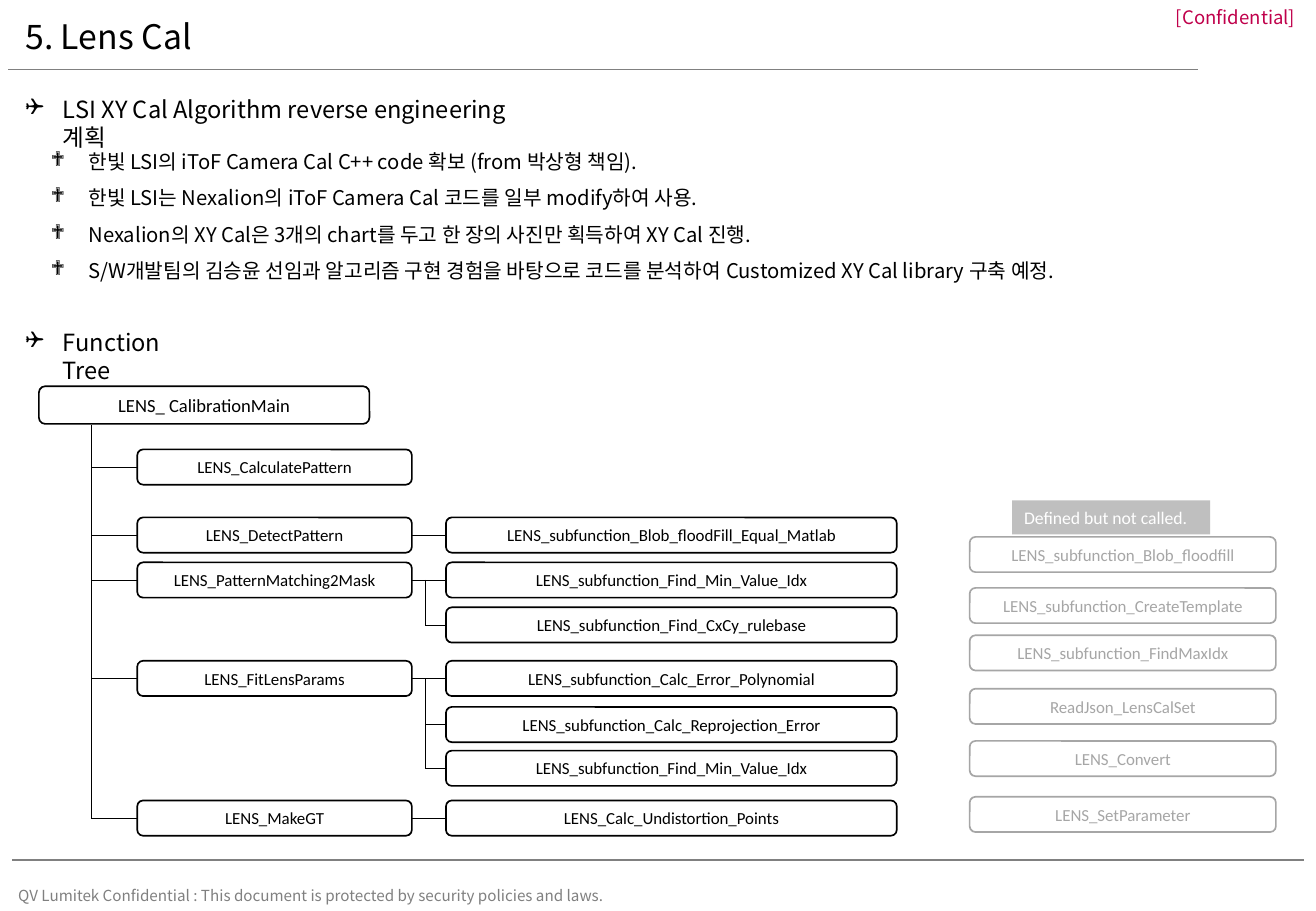
"""Build the lens calibration slide with its plan and function tree."""
from dataclasses import dataclass

import pptx
import pptx.dml.color
import pptx.enum.shapes
import pptx.enum.text
import pptx.oxml.ns
import pptx.util
from lxml import etree
from pptx.util import Inches

RGBColor = pptx.dml.color.RGBColor
ANCHOR = pptx.enum.text.MSO_ANCHOR
ALIGN = pptx.enum.text.PP_ALIGN
SHAPE = pptx.enum.shapes.MSO_SHAPE
qn = pptx.oxml.ns.qn

BLACK = RGBColor(0x00, 0x00, 0x00)
WHITE = RGBColor(0xFF, 0xFF, 0xFF)
GRAY = RGBColor(0x80, 0x80, 0x80)
LIGHT_GRAY = RGBColor(0xA6, 0xA6, 0xA6)
LABEL_GRAY = RGBColor(0xBF, 0xBF, 0xBF)
CRIMSON = RGBColor(0xC0, 0x00, 0x4B)

BODY_FONT = "Noto Sans CJK KR"
TREE_FONT = "Calibri"
BULLET_INDENT = 0.31
NODE_HEIGHT = 0.29
TRUNK_X, TRUNK_TOP = 0.75, 3.5
STEM_X = 3.5


@dataclass(frozen=True)
class TextBlock:
    left: float
    top: float
    width: float
    height: float
    lines: tuple[str, ...]
    size: float
    color: RGBColor = BLACK
    bullet: str = ""
    spacing: float = 1.0
    align: ALIGN = ALIGN.LEFT
    anchor: ANCHOR = ANCHOR.TOP
    inset: bool = True


@dataclass(frozen=True)
class Column:
    left: float
    width: float
    color: RGBColor = BLACK
    size: float = 10
    height: float = NODE_HEIGHT


@dataclass(frozen=True)
class Node:
    top: float
    name: str
    children: tuple["Node", ...] = ()


ROOT_COLUMN = Column(0.32, 2.72, size=11, height=0.31)
FUNCTION_COLUMN = Column(1.13, 2.26)
SUBFUNCTION_COLUMN = Column(3.67, 3.71)
UNUSED_COLUMN = Column(7.98, 2.52, LIGHT_GRAY)

TEXT_BLOCKS = (
    TextBlock(0, 7.25, 5.07, 0.25,
              ("QV Lumitek Confidential : This document is protected by security policies and laws.",),
              9, GRAY, anchor=ANCHOR.MIDDLE, inset=False),
    TextBlock(9.52, 0, 1.32, 0.28, ("[Confidential]",), 11, CRIMSON,
              align=ALIGN.RIGHT, anchor=ANCHOR.MIDDLE, inset=False),
    TextBlock(0.11, 0.09, 6.14, 0.46, ("5. Lens Cal",), 20, spacing=0.9, anchor=ANCHOR.MIDDLE),
    TextBlock(0.11, 0.73, 4.51, 0.34, ("LSI XY Cal Algorithm reverse engineering 계획",), 14, bullet="❑"),
    TextBlock(0.32, 1.08, 8.8, 1.28, (
        "한빛 LSI의 iToF Camera Cal C++ code 확보 (from 박상형 책임).",
        "한빛 LSI는 Nexalion의 iToF Camera Cal 코드를 일부 modify하여 사용.",
        "Nexalion의 XY Cal은 3개의 chart를 두고 한 장의 사진만 획득하여 XY Cal 진행.",
        "S/W개발팀의 김승윤 선임과 알고리즘 구현 경험을 바탕으로 코드를 분석하여 Customized XY Cal library 구축 예정.",
    ), 12, bullet="❖", spacing=1.5),
    TextBlock(0.11, 2.65, 1.71, 0.34, ("Function Tree",), 14, bullet="❑"),
)

ROOT = Node(3.18, "LENS_ CalibrationMain", (
    Node(3.7, "LENS_CalculatePattern"),
    Node(4.26, "LENS_DetectPattern", (
        Node(4.26, "LENS_subfunction_Blob_floodFill_Equal_Matlab"),)),
    Node(4.63, "LENS_PatternMatching2Mask", (
        Node(4.63, "LENS_subfunction_Find_Min_Value_Idx"),
        Node(5.0, "LENS_subfunction_Find_CxCy_rulebase"))),
    Node(5.44, "LENS_FitLensParams", (
        Node(5.44, "LENS_subfunction_Calc_Error_Polynomial"),
        Node(5.82, "LENS_subfunction_Calc_Reprojection_Error"),
        Node(6.18, "LENS_subfunction_Find_Min_Value_Idx"))),
    Node(6.59, "LENS_MakeGT", (Node(6.59, "LENS_Calc_Undistortion_Points"),)),
))

UNUSED_NODES = (
    Node(4.42, "LENS_subfunction_Blob_floodfill"),
    Node(4.84, "LENS_subfunction_CreateTemplate"),
    Node(5.23, "LENS_subfunction_FindMaxIdx"),
    Node(5.67, "ReadJson_LensCalSet"),
    Node(6.1, "LENS_Convert"),
    Node(6.56, "LENS_SetParameter"),
)


def add_run(paragraph, text: str, font: str, size: float, color: RGBColor) -> None:
    """Append one formatted run to a paragraph."""
    run = paragraph.add_run()
    run.text = text
    run.font.name = font
    run.font.size = pptx.util.Pt(size)
    run.font.color.rgb = color
    etree.SubElement(run.font._element, qn("a:ea")).set("typeface", font)


def add_bullet(paragraph, character: str) -> None:
    """Give a paragraph a hanging bullet."""
    properties = paragraph._p.get_or_add_pPr()
    properties.set("marL", str(Inches(BULLET_INDENT)))
    properties.set("indent", str(-Inches(BULLET_INDENT)))
    etree.SubElement(properties, qn("a:buFont")).set("typeface", "Wingdings")
    etree.SubElement(properties, qn("a:buChar")).set("char", character)


def add_text(slide, block: TextBlock) -> None:
    """Draw a text block."""
    box = slide.shapes.add_textbox(
        Inches(block.left), Inches(block.top), Inches(block.width), Inches(block.height))
    frame = box.text_frame
    frame.word_wrap = True
    frame.vertical_anchor = block.anchor
    if not block.inset:
        frame.margin_left = frame.margin_right = frame.margin_top = frame.margin_bottom = 0
    if block.left == 0:
        frame.margin_left = Inches(0.15)
    if block.align == ALIGN.RIGHT:
        frame.margin_right = Inches(0.18)
    for index, line in enumerate(block.lines):
        paragraph = frame.add_paragraph() if index else frame.paragraphs[0]
        if block.bullet:
            add_bullet(paragraph, block.bullet)
        paragraph.alignment = block.align
        paragraph.line_spacing = block.spacing
        add_run(paragraph, line, BODY_FONT, block.size, block.color)


def add_line(slide, x1: float, y1: float, x2: float, y2: float,
             color: RGBColor = BLACK, width: float = 0.5):
    """Draw a straight line without a shadow."""
    line = slide.shapes.add_connector(
        pptx.enum.shapes.MSO_CONNECTOR.STRAIGHT, Inches(x1), Inches(y1), Inches(x2), Inches(y2))
    line.line.color.rgb = color
    line.line.width = pptx.util.Pt(width)
    etree.SubElement(line._element.spPr, qn("a:effectLst"))
    return line


def add_node(slide, node: Node, column: Column):
    """Draw a function box in its column."""
    shape = slide.shapes.add_shape(
        SHAPE.ROUNDED_RECTANGLE, Inches(column.left), Inches(node.top),
        Inches(column.width), Inches(column.height))
    shape.shadow.inherit = False
    shape.fill.background()
    shape.line.color.rgb = column.color
    shape.line.width = pptx.util.Pt(1)
    shape.text_frame.vertical_anchor = ANCHOR.MIDDLE
    paragraph = shape.text_frame.paragraphs[0]
    paragraph.alignment = ALIGN.CENTER
    add_run(paragraph, node.name, TREE_FONT, column.size, column.color)
    return shape


def middle(node: Node) -> float:
    """Return the height at which a node is joined."""
    return node.top + NODE_HEIGHT / 2


def add_tree(slide) -> None:
    """Draw the function tree and its connectors."""
    add_node(slide, ROOT, ROOT_COLUMN)
    add_line(slide, TRUNK_X, TRUNK_TOP, TRUNK_X, middle(ROOT.children[-1]))
    for function in ROOT.children:
        y = middle(function)
        function_shape = add_node(slide, function, FUNCTION_COLUMN)
        branch = add_line(slide, TRUNK_X, y, FUNCTION_COLUMN.left, y)
        branch.end_connect(function_shape, 1)
        for index, child in enumerate(function.children):
            child_y = middle(child)
            child_shape = add_node(slide, child, SUBFUNCTION_COLUMN)
            link = add_line(slide, STEM_X, child_y, SUBFUNCTION_COLUMN.left, child_y)
            if index == 0:
                link.begin_connect(function_shape, 3)
            link.end_connect(child_shape, 1)
        if len(function.children) > 1:
            add_line(slide, STEM_X, y, STEM_X, middle(function.children[-1]))


def add_unused(slide) -> None:
    """Draw the functions that are never called and their label."""
    for node in UNUSED_NODES:
        add_node(slide, node, UNUSED_COLUMN)
    label = slide.shapes.add_shape(
        SHAPE.RECTANGLE, Inches(8.33), Inches(4.12), Inches(1.63), Inches(0.28))
    label.shadow.inherit = False
    label.fill.solid()
    label.fill.fore_color.rgb = LABEL_GRAY
    label.line.fill.background()
    label.text_frame.vertical_anchor = ANCHOR.TOP
    paragraph = label.text_frame.paragraphs[0]
    paragraph.alignment = ALIGN.LEFT
    add_run(paragraph, "Defined but not called.", TREE_FONT, 10.5, WHITE)


def main() -> None:
    """Build and save the presentation."""
    presentation = pptx.Presentation()
    presentation.slide_width = Inches(10.83)
    presentation.slide_height = Inches(7.5)
    slide = presentation.slides.add_slide(presentation.slide_layouts[6])
    add_line(slide, 0.07, 0.57, 9.86, 0.57, GRAY, 0.75)
    add_line(slide, 0.1, 7.08, 10.73, 7.08, GRAY, 1.5)
    for block in TEXT_BLOCKS:
        add_text(slide, block)
    add_tree(slide)
    add_unused(slide)
    presentation.save("out.pptx")


if __name__ == "__main__":
    main()
